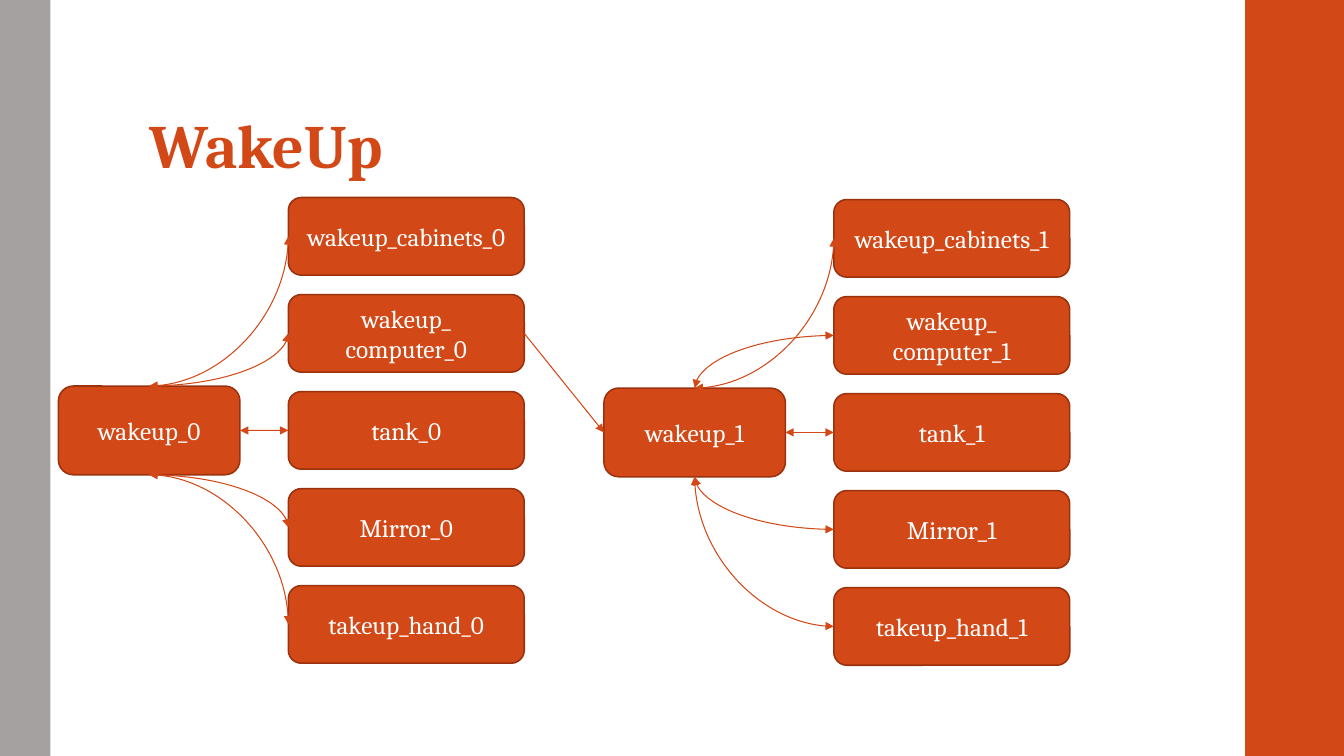
from dataclasses import dataclass

from lxml import etree
from pptx import Presentation
from pptx import util as u
from pptx.dml import color
from pptx.enum import shapes, text
from pptx.oxml import ns

COLORS = {"accent": "D34817", "edge": "9B320E", "grey": "A6A1A1", "white": "FFFFFF"}
FONT = "Cambria"
CHILD_NAMES = ("wakeup_cabinets", "wakeup_ computer", "tank", "Mirror", "takeup_hand")
CHILD_PITCH = (5.81 - 1.96) / (len(CHILD_NAMES) - 1)


@dataclass(frozen=True)
class Box:
    label: str
    left: float
    top: float
    width: float
    height: float

    @property
    def right(self) -> float:
        return self.left + self.width

    @property
    def bottom(self) -> float:
        return self.top + self.height

    @property
    def center(self) -> float:
        return self.left + self.width / 2

    @property
    def middle(self) -> float:
        return self.top + self.height / 2


@dataclass(frozen=True)
class Group:
    hub: Box
    children: list[Box]
    outward: tuple[bool, ...]  # whether each curve leaves the hub horizontally


def rgb(name: str) -> color.RGBColor:
    return color.RGBColor.from_string(COLORS[name])


def make_group(number: int, left: float, top: float, outward: tuple[bool, ...]) -> Group:
    hub = Box(f"wakeup_{number}", left, top, 1.8, 0.88)
    children = [
        Box(f"{name}_{number}", left + 2.28, top - 1.87 + row * CHILD_PITCH, 2.34, 0.77)
        for row, name in enumerate(CHILD_NAMES)
    ]
    return Group(hub, children, outward)


def add_span(para, words: str, size: float, color_name: str):
    span = para.add_run()
    span.text = words
    span.font.name = FONT
    span.font.size = u.Pt(size)
    span.font.color.rgb = rgb(color_name)
    return span


def add_block(page, kind, box: Box, fill: str):
    block = page.shapes.add_shape(
        kind, u.Inches(box.left), u.Inches(box.top), u.Inches(box.width), u.Inches(box.height)
    )
    block.shadow.inherit = False
    block.fill.solid()
    block.fill.fore_color.rgb = rgb(fill)
    block.line.fill.background()
    return block


def add_node(page, box: Box) -> None:
    node = add_block(page, shapes.MSO_SHAPE.ROUNDED_RECTANGLE, box, "accent")
    node.line.color.rgb = rgb("edge")
    node.line.width = u.Pt(1.11)
    frame = node.text_frame
    frame.word_wrap = True
    frame.vertical_anchor = text.MSO_ANCHOR.MIDDLE
    para = frame.paragraphs[0]
    para.alignment = text.PP_ALIGN.CENTER
    add_span(para, box.label, 18, "white")


def add_arrow(page, start: tuple[float, float], end: tuple[float, float], curved: bool) -> None:
    kind = shapes.MSO_CONNECTOR.CURVE if curved else shapes.MSO_CONNECTOR.STRAIGHT
    arrow = page.shapes.add_connector(kind, *(u.Inches(value) for value in start + end))
    arrow.line.color.rgb = rgb("accent")
    arrow.line.width = u.Pt(0.75)
    properties = arrow.element.spPr
    if curved:  # a quarter bend: leaves horizontally, arrives vertically
        properties.find(ns.qn("a:prstGeom")).set("prst", "curvedConnector2")
    line = properties.find(ns.qn("a:ln"))
    for tag in ("a:headEnd", "a:tailEnd") if curved else ("a:tailEnd",):
        etree.SubElement(line, ns.qn(tag)).set("type", "triangle")
    etree.SubElement(properties, ns.qn("a:effectLst"))


def add_group(page, group: Group) -> None:
    hub = group.hub
    for box in [hub, *group.children]:
        add_node(page, box)
    center_row = len(group.children) // 2
    for row, (child, outward) in enumerate(zip(group.children, group.outward)):
        if row == center_row:
            port = (hub.right, hub.middle)
        else:
            port = (hub.center, hub.top if row < center_row else hub.bottom)
        ends = [port, (child.left, child.middle)]
        if not outward:
            ends.reverse()
        add_arrow(page, ends[0], ends[1], curved=True)


def add_title(page, words: str) -> None:
    title = page.shapes.title
    title.left, title.top = u.Inches(1.38), u.Inches(0.32)
    title.width, title.height = u.Inches(10.6), u.Inches(1.53)
    frame = title.text_frame
    frame.word_wrap = True
    frame.auto_size = text.MSO_AUTO_SIZE.NONE
    frame.vertical_anchor = text.MSO_ANCHOR.BOTTOM
    frame.margin_left = frame.margin_right = u.Inches(0.1)
    frame.margin_top, frame.margin_bottom = u.Inches(0.03), u.Inches(0.05)
    para = frame.paragraphs[0]
    para.alignment = text.PP_ALIGN.LEFT
    para.line_spacing = 0.9
    span = add_span(para, words, 44, "accent")
    span.font.bold = True
    span.font.element.set("spc", "-50") if hasattr(span.font, "element") else None


def main() -> None:
    deck = Presentation()
    deck.slide_width, deck.slide_height = u.Inches(13.33), u.Inches(7.5)
    page = deck.slides.add_slide(deck.slide_layouts[5])

    # Side bars and title
    rectangle = shapes.MSO_SHAPE.RECTANGLE
    add_block(page, rectangle, Box("", 12.35, 0, 0.98, 7.5), "accent")
    add_block(page, rectangle, Box("", 0, 0, 0.5, 7.5), "grey")
    add_title(page, "WakeUp")

    # Two wake-up stages, each a hub with its targets
    first = make_group(0, 0.58, 3.83, (True,) * 5)
    second = make_group(1, 5.99, 3.85, (True, False, False, False, False))
    for group in (first, second):
        add_group(page, group)

    # Step from the first computer to the second stage
    computer = first.children[1]
    add_arrow(
        page, (computer.right, computer.middle), (second.hub.left, second.hub.middle), curved=False
    )
    deck.save("out.pptx")


if __name__ == "__main__":
    main()
